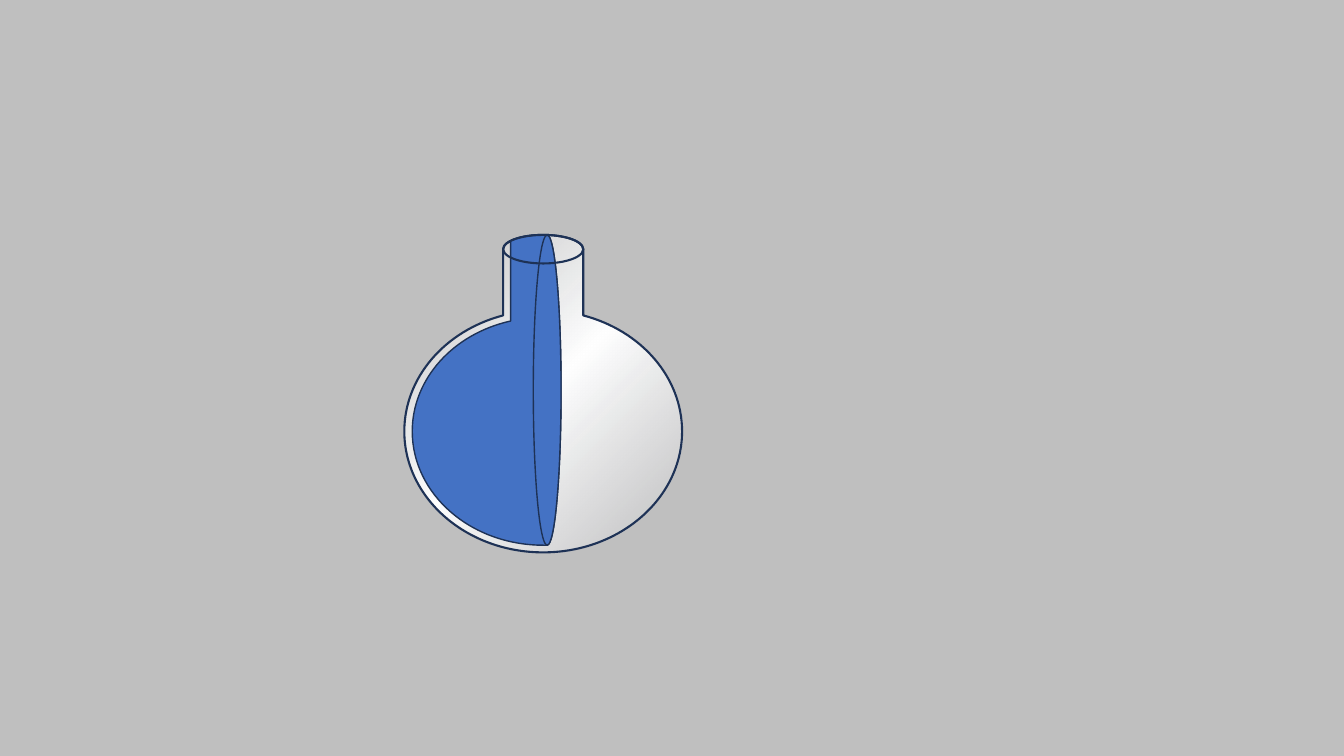
"""Draw a cut-away round flask whose left half shows its filled section."""
import math

from lxml import etree
from pptx import Presentation
from pptx import util as u
from pptx.dml.color import RGBColor
from pptx.enum import shapes
from pptx.oxml import parse_xml
from pptx.oxml.ns import nsdecls, qn

COLORS = {"background": "BFBFBF", "outline": "1E3256", "inside": "4472C4",
          "glass": "F6F8FC", "shine": "FFFFFF"}

BODY = (13.69, 10.87, 3.5, 3.05)
INNER_BODY = (13.69, 10.87, 3.3, 2.87)
RIM = (13.69, 6.28, 1.01, 0.36)
SECTION = (13.79, 9.83, 0.35, 3.91)
INNER_NECK = 0.82


def arc(ellipse, start, end):
    """Start point, then three Bezier points per quarter, clockwise from the top."""
    x, y, rx, ry = ellipse
    turns = [start] + [a for a in range(-90, 361, 90) if start < a < end] + [end]
    turns = [math.radians(a) for a in turns]
    unit = [(math.sin(turns[0]), -math.cos(turns[0]))]
    for a, b in zip(turns, turns[1:]):
        pull = 4 / 3 * math.tan((b - a) / 4)
        unit += [(math.sin(a) + pull * math.cos(a), -math.cos(a) + pull * math.sin(a)),
                 (math.sin(b) - pull * math.cos(b), -math.cos(b) - pull * math.sin(b)),
                 (math.sin(b), -math.cos(b))]
    return [(u.Cm(x + rx * across), u.Cm(y + ry * down)) for across, down in unit]


def angle_at(half_width, ellipse):
    """Angle at which an ellipse is half_width away from its axis."""
    return math.degrees(math.asin(half_width / ellipse[2]))


prs = Presentation()
prs.slide_width, prs.slide_height = u.Cm(33.87), u.Cm(19.05)
slide = prs.slides.add_slide(prs.slide_layouts[6])
slide.background.fill.solid()
slide.background.fill.fore_color.rgb = RGBColor.from_string(COLORS["background"])

shoulder = angle_at(RIM[2], BODY)
flask_arcs = [arc(RIM, -90, 90), arc(BODY, shoulder, 360 - shoulder)]
inside_arcs = [arc(SECTION, 0, 180),
               arc(INNER_BODY, 180, 360 - angle_at(INNER_NECK, INNER_BODY)),
               arc(RIM, -angle_at(INNER_NECK, RIM), 0)]

parts = []
for arcs in (flask_arcs, inside_arcs):
    points = sum(arcs, [])
    builder = slide.shapes.build_freeform(*points[0])
    builder.add_line_segments(points[1:], close=True)
    part = builder.convert_to_shape()
    parts.append(part)
    outline = part.element.find(".//" + qn("a:path"))
    steps = iter(list(outline))
    for curve in arcs:
        next(steps)
        for _ in range(len(curve) // 3):
            bezier = etree.Element(qn("a:cubicBezTo"))
            triple = [next(steps) for _ in range(3)]
            triple[0].addprevious(bezier)
            for step in triple:
                bezier.append(step[0])
                outline.remove(step)
for x, y, rx, ry in (SECTION, RIM):
    parts.append(slide.shapes.add_shape(
        shapes.MSO_SHAPE.OVAL, u.Cm(x - rx), u.Cm(y - ry), u.Cm(2 * rx), u.Cm(2 * ry)))
flask, inside, section, rim = parts

for part, width in ((flask, 1.5), (inside, 1), (section, 1), (rim, 1.5)):
    part.shadow.inherit = False
    part.line.color.rgb = RGBColor.from_string(COLORS["outline"])
    part.line.width = u.Pt(width)
for part in (inside, section):
    part.fill.solid()
    part.fill.fore_color.rgb = RGBColor.from_string(COLORS["inside"])
rim.fill.background()

glass_fill = parse_xml(f'<a:gradFill {nsdecls("a")} rotWithShape="1"><a:gsLst/>'
                       '<a:lin ang="2700000" scaled="0"/></a:gradFill>')
for position, color, opacity in ((0, "glass", 0), (50, "shine", 100), (100, "glass", 0)):
    glass_fill[0].append(parse_xml(
        f'<a:gs {nsdecls("a")} pos="{position * 1000}"><a:srgbClr val="{COLORS[color]}">'
        f'<a:alpha val="{opacity * 1000}"/></a:srgbClr></a:gs>'))
flask.element.spPr.find(qn("a:custGeom")).addnext(glass_fill)

prs.save("out.pptx")
